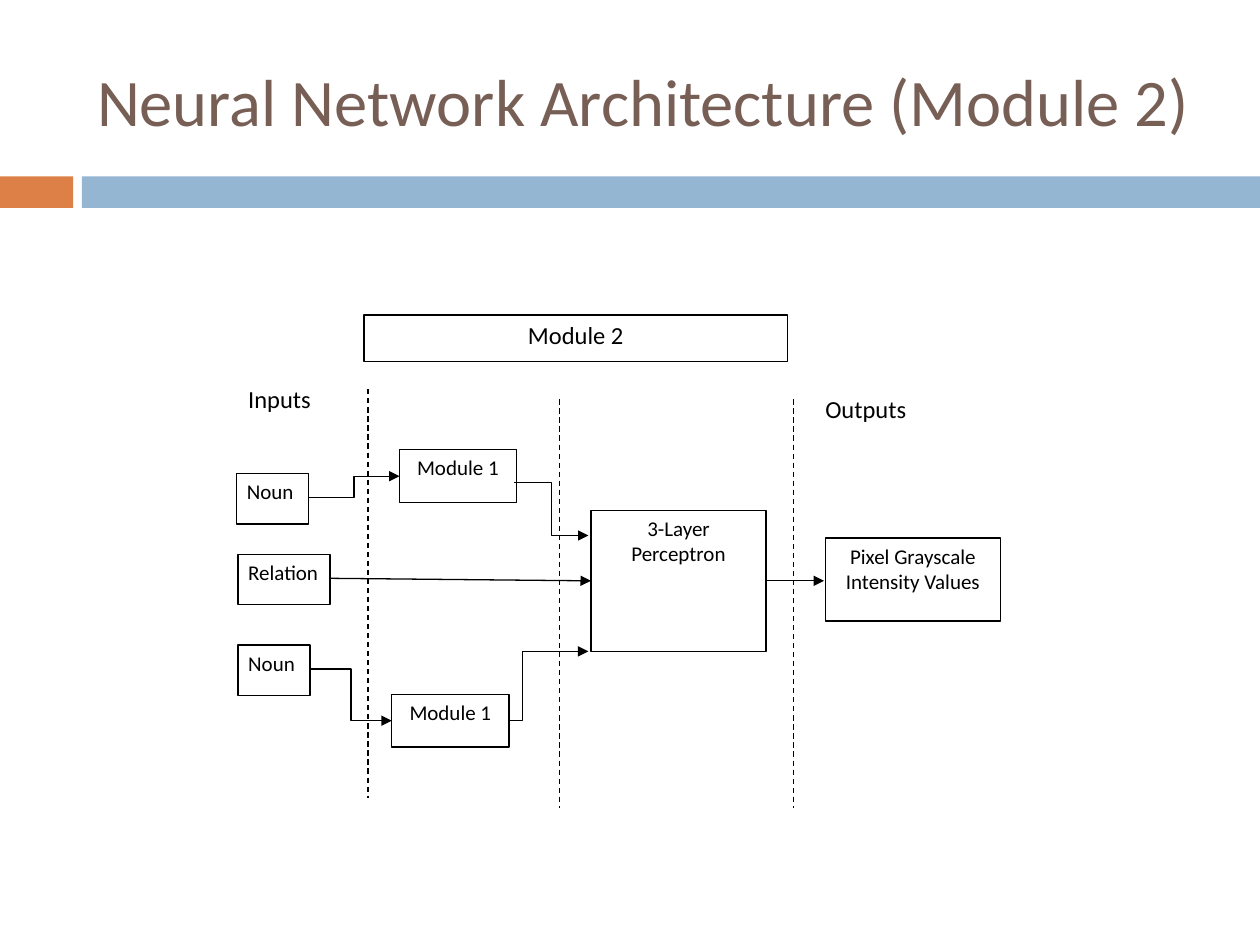
import pptx
import pptx.dml.color
import pptx.enum.dml
import pptx.enum.shapes
import pptx.enum.text
import pptx.oxml.ns
import pptx.util
from lxml import etree

ORANGE = pptx.dml.color.RGBColor(0xDD, 0x80, 0x47)
BLUE = pptx.dml.color.RGBColor(0x94, 0xB6, 0xD2)
BROWN = pptx.dml.color.RGBColor(0x77, 0x5F, 0x55)
BLACK = pptx.dml.color.RGBColor(0, 0, 0)
WHITE = pptx.dml.color.RGBColor(255, 255, 255)

LEFT = pptx.enum.text.PP_ALIGN.LEFT
CENTER = pptx.enum.text.PP_ALIGN.CENTER
TOP = pptx.enum.text.MSO_ANCHOR.TOP
MIDDLE = pptx.enum.text.MSO_ANCHOR.MIDDLE
RECTANGLE = pptx.enum.shapes.MSO_SHAPE.RECTANGLE
STRAIGHT = pptx.enum.shapes.MSO_CONNECTOR.STRAIGHT
ELBOW = pptx.enum.shapes.MSO_CONNECTOR.ELBOW
DASH = pptx.enum.dml.MSO_LINE.DASH

presentation = pptx.Presentation()
presentation.slide_width = pptx.util.Inches(10)
presentation.slide_height = pptx.util.Inches(7.5)
slide = presentation.slides.add_slide(presentation.slide_layouts[5])

# Square grid: 10 columns by 7.5 rows
CELL = presentation.slide_width // 10


def write_text(shape, text, size=12, color=BLACK, align=CENTER, anchor=TOP,
               inset=(0.08, 0.04), space_after=10):
    frame = shape.text_frame
    frame.word_wrap = True
    frame.auto_size = pptx.enum.text.MSO_AUTO_SIZE.NONE
    frame.vertical_anchor = anchor
    frame.margin_left = frame.margin_right = int(inset[0] * CELL)
    frame.margin_top = frame.margin_bottom = int(inset[1] * CELL)
    paragraph = frame.paragraphs[0]
    paragraph.alignment = align
    paragraph.space_after = pptx.util.Pt(space_after)
    run = paragraph.add_run()
    run.text = text
    run.font.name = "Calibri"
    run.font.size = pptx.util.Pt(size)
    run.font.color.rgb = color


def draw_line(kind, *ends, dash=None, arrow=True, bend=0.5):
    connector = slide.shapes.add_connector(kind, *(int(end * CELL) for end in ends))
    connector.line.color.rgb = BLACK
    connector.line.width = pptx.util.Pt(0.75)
    if dash:
        connector.line.dash_style = dash
    if arrow:
        tail = etree.SubElement(connector.line._get_or_add_ln(), pptx.oxml.ns.qn("a:tailEnd"))
        tail.set("type", "triangle")
    properties = connector._element.spPr
    etree.SubElement(properties, pptx.oxml.ns.qn("a:effectLst"))
    if kind == ELBOW:
        guides = properties.find(".//" + pptx.oxml.ns.qn("a:avLst"))
        guide = etree.SubElement(guides, pptx.oxml.ns.qn("a:gd"))
        guide.set("name", "adj1")
        guide.set("fmla", f"val {round(bend * 100000)}")


# Title
title = slide.shapes.title
title.left, title.top, title.width, title.height = (
    int(length * CELL) for length in (0.67, 0.25, 8.92, 1.08))
write_text(title, "Neural Network Architecture (Module 2)", size=38, color=BROWN,
           align=LEFT, anchor=MIDDLE, inset=(0.1, 0.05), space_after=0)

# Colour band under the title
for left, width, color in [(0, 0.58, ORANGE), (0.65, 9.35, BLUE)]:
    band = slide.shapes.add_shape(
        RECTANGLE, *(int(length * CELL) for length in (left, 1.4, width, 0.25)))
    band.shadow.inherit = False
    band.fill.solid()
    band.fill.fore_color.rgb = color
    band.line.fill.background()

# Network boxes: text, left, top, width, height, size, alignment
boxes = [
    ("Module 2", 2.89, 2.5, 3.36, 0.37, 14, CENTER),
    ("Module 1", 3.17, 3.57, 0.93, 0.42, 12, CENTER),
    ("Module 1", 3.11, 5.51, 0.93, 0.42, 12, CENTER),
    ("3-Layer Perceptron", 4.69, 4.05, 1.39, 1.12, 12, CENTER),
    ("Noun", 1.88, 3.76, 0.57, 0.4, 12, LEFT),
    ("Relation", 1.89, 4.4, 0.73, 0.4, 12, LEFT),
    ("Noun", 1.89, 5.12, 0.57, 0.4, 12, LEFT),
    ("Pixel Grayscale Intensity Values", 6.55, 4.27, 1.39, 0.66, 12, CENTER),
]
for text, left, top, width, height, size, align in boxes:
    box = slide.shapes.add_shape(
        RECTANGLE, *(int(length * CELL) for length in (left, top, width, height)))
    box.shadow.inherit = False
    box.fill.solid()
    box.fill.fore_color.rgb = WHITE
    box.line.color.rgb = BLACK
    box.line.width = pptx.util.Pt(0.75)
    write_text(box, text, size=size, align=align)

# Stage labels
for text, left, top in [("Inputs", 1.89, 3.01), ("Outputs", 6.47, 3.09)]:
    label = slide.shapes.add_textbox(
        *(int(length * CELL) for length in (left, top, 0.84, 0.38)))
    write_text(label, text, size=14, align=LEFT)

# Dashed stage dividers
for column, top in [(2.92, 3.09), (4.44, 3.17), (6.3, 3.17)]:
    draw_line(STRAIGHT, column, top, column, top + 3.24, dash=DASH, arrow=False)

# Arrows from the inputs through the modules to the output
draw_line(ELBOW, 2.45, 3.95, 3.17, 3.78)
draw_line(ELBOW, 2.46, 5.31, 3.11, 5.72)
draw_line(STRAIGHT, 2.62, 4.59, 4.69, 4.61)
draw_line(STRAIGHT, 6.08, 4.61, 6.54, 4.61)
draw_line(ELBOW, 4.08, 3.83, 4.67, 4.25)
draw_line(ELBOW, 4.04, 5.72, 4.67, 5.17, bend=0.17)

presentation.save("out.pptx")
